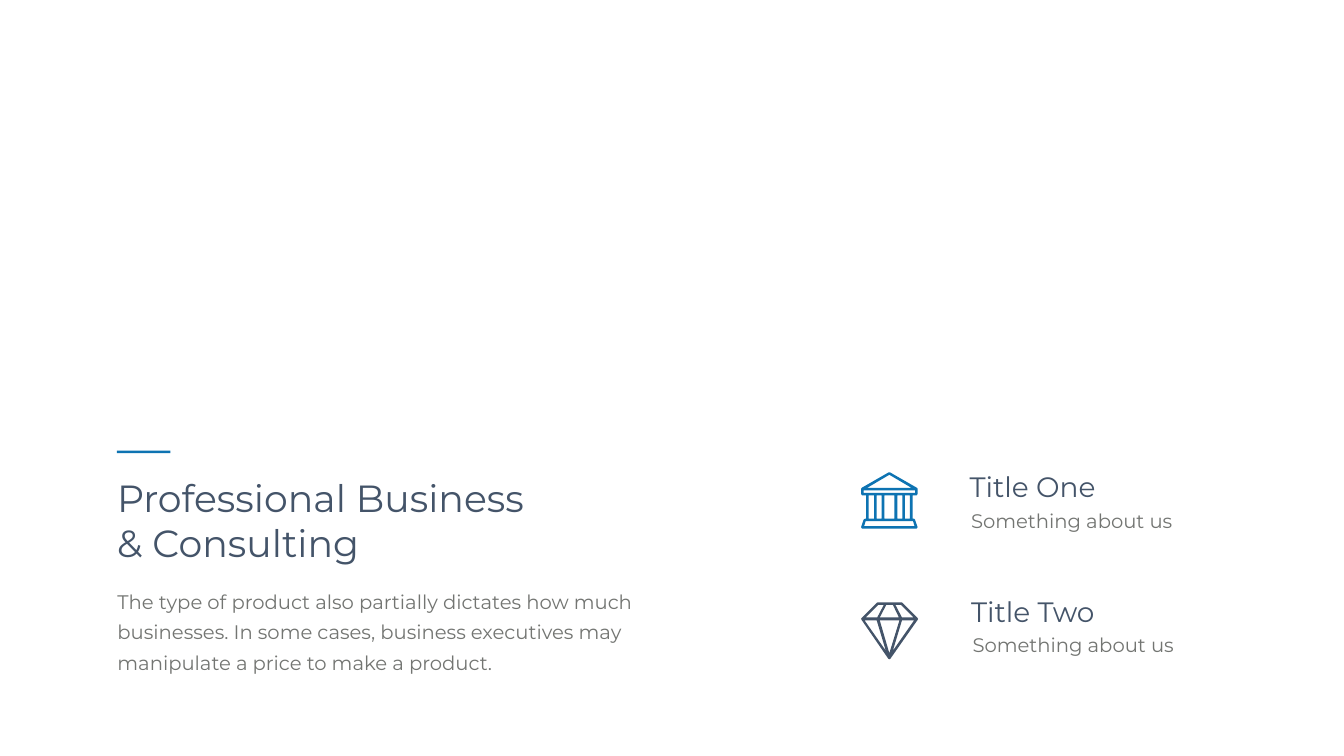
from pptx import Presentation
from pptx.dml.color import RGBColor
from pptx.enum.shapes import MSO_SHAPE
from pptx.enum.text import MSO_ANCHOR, MSO_AUTO_SIZE, PP_ALIGN
from pptx.util import Inches, Pt

BLUE, SLATE, GREY, WHITE = "0D73B2", "445469", "737572", "FFFFFF"

presentation = Presentation()
presentation.slide_width, presentation.slide_height = Inches(26.66), Inches(15)
COLUMN = presentation.slide_width / 100
ROW = presentation.slide_height / 100

slide = presentation.slides.add_slide(presentation.slide_layouts[5])


def paint(fill, color):
    fill.solid()
    fill.fore_color.rgb = RGBColor.from_string(color)


def write(shape, place, text, size, color, paragraph_format=None, inset=(0.38, 0.33)):
    """Place a text shape by columns and rows, then fill and format it."""
    left, top, width, height = place
    box = {"left": left * COLUMN, "top": top * ROW,
           "width": width * COLUMN, "height": height * ROW}
    for name, value in box.items():
        setattr(shape, name, int(value))
    frame = shape.text_frame
    side, edge = int(inset[0] * COLUMN), int(inset[1] * ROW)
    frame_format = {"word_wrap": True, "vertical_anchor": MSO_ANCHOR.TOP,
                    "auto_size": MSO_AUTO_SIZE.SHAPE_TO_FIT_TEXT,
                    "margin_left": side, "margin_right": side,
                    "margin_top": edge, "margin_bottom": edge}
    for name, value in frame_format.items():
        setattr(frame, name, value)
    paragraph = frame.paragraphs[0]
    for name, value in {"alignment": PP_ALIGN.LEFT, **(paragraph_format or {})}.items():
        setattr(paragraph, name, value)
    run = paragraph.add_run()
    run.text = text
    for name, value in {"name": "Montserrat", "size": Pt(size)}.items():
        setattr(run.font, name, value)
    paint(run.font.fill, color)


paint(slide.background.fill, WHITE)

# Heading, body and accent rule
write(slide.shapes.title, (8.33, 62.47, 33.2, 12.8),
      "Professional Business & Consulting", 54, SLATE)
write(slide.shapes.add_textbox(0, 0, 0, 0), (7.84, 76.4, 40.85, 13.33),
      "The type of product also partially dictates how much businesses. "
      "In some cases, business executives may manipulate a price to make a product.",
      28, GREY, {"line_spacing": Pt(43), "space_before": Pt(5.6)}, (0.9, 0.8))
accent_rule = slide.shapes.add_shape(
    MSO_SHAPE.RECTANGLE, int(8.7 * COLUMN), int(59.6 * ROW), int(3.98 * COLUMN), int(0.33 * ROW))
paint(accent_rule.fill, BLUE)
accent_rule.line.fill.background()
accent_rule.shadow.inherit = False

# Icon outlines on a 113-unit grid; inner contours are holes
pillars = [[(left, 46), (right, 46), (right, 92), (left, 92)]
           for left, right in ((15, 26), (31, 41), (46, 66), (72, 82), (87, 97))]
bank = [
    [(110, 46), (112, 43), (112, 33), (111, 31), (57, 0), (55, 0), (1, 31), (0, 33),
     (0, 43), (2, 46), (10, 46), (10, 92), (8, 92), (5, 94), (0, 109), (2, 112),
     (110, 112), (112, 109), (107, 94), (105, 92), (102, 92), (102, 46)],
    [(5, 36), (107, 36), (107, 41), (5, 41)],
    [(103, 97), (106, 107), (6, 107), (9, 97)],
    [(56, 5), (100, 31), (12, 31)],
    *pillars,
]
diamond = [
    [(113, 33), (112, 31), (82, 1), (80, 0), (33, 0), (31, 1), (1, 31), (0, 33),
     (1, 35), (54, 112), (56, 113), (58, 112), (112, 35)],
    [(63, 96), (81, 36), (105, 36)],
    [(56, 101), (37, 36), (76, 36)],
    [(7, 36), (31, 36), (49, 96)],
    [(34, 5), (45, 5), (32, 30), (9, 30)],
    [(63, 5), (75, 30), (37, 30), (50, 5)],
    [(79, 5), (104, 30), (81, 30), (68, 5)],
]
ICON_UNIT = 4.24 * COLUMN / 113

# Feature list: icon, title and caption per row
FEATURE_TOP, FEATURE_STEP, FEATURE_SHIFT = 62.47, 16.47, 0.11
features = [("Title One", bank, BLUE, 62.47), ("Title Two", diamond, SLATE, 79.67)]
for index, (name, contours, color, icon_top) in enumerate(features):
    top = FEATURE_TOP + index * FEATURE_STEP
    shift = index * FEATURE_SHIFT
    write(slide.shapes.add_textbox(0, 0, 0, 0), (71.76 + shift, top, 15.19, 4.53),
          name, 40, SLATE, {"line_spacing": Pt(40.8)})
    write(slide.shapes.add_textbox(0, 0, 0, 0), (71.87 + shift, top + 4.46, 15.87, 3.8),
          "Something about us", 28, GREY)

    builder = slide.shapes.build_freeform(*contours[0][0], scale=ICON_UNIT)
    for number, (start, *points) in enumerate(contours):
        if number:
            builder.move_to(*start)
        builder.add_line_segments(points, close=True)
    icon = builder.convert_to_shape(int(64.07 * COLUMN), int(icon_top * ROW))
    paint(icon.fill, color)
    icon.line.fill.background()
    icon.shadow.inherit = False

presentation.save("out.pptx")
